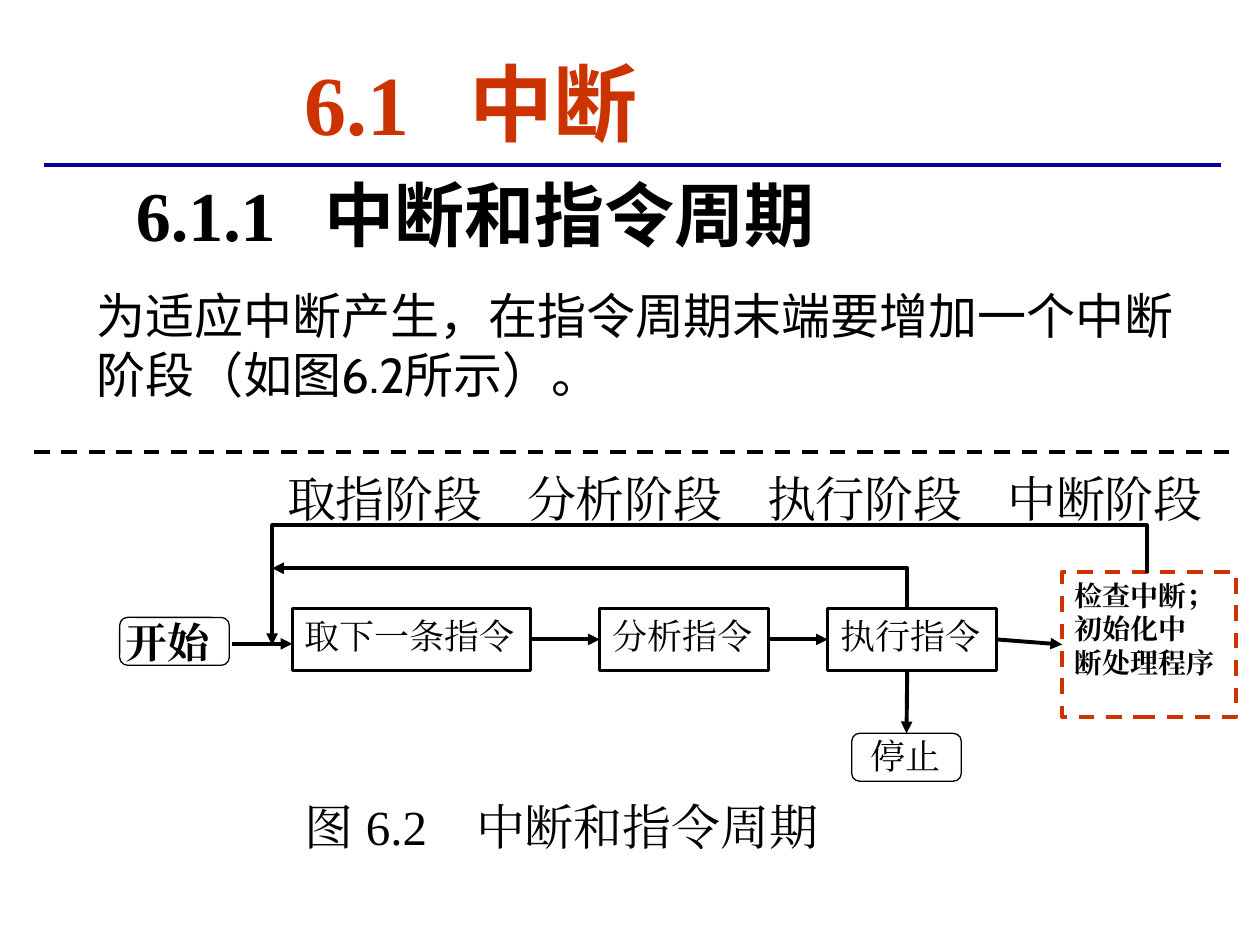
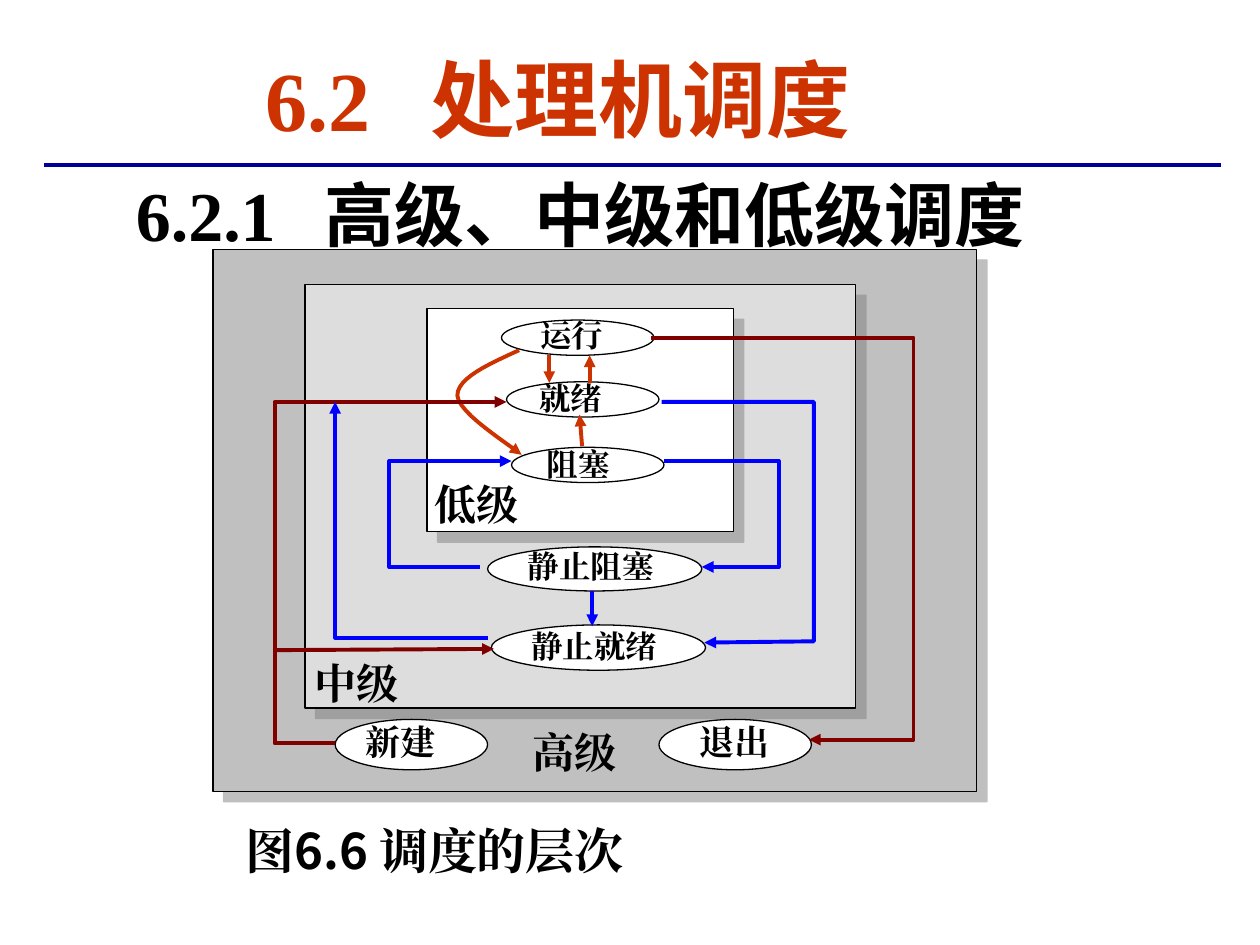
from pptx import Presentation
from pptx.dml.color import RGBColor
from pptx.enum.dml import MSO_LINE
from pptx.enum.shapes import MSO_CONNECTOR, MSO_SHAPE
from pptx.enum.text import MSO_ANCHOR, MSO_AUTO_SIZE, PP_ALIGN
from pptx.oxml.ns import qn
from pptx.util import Inches, Pt
from lxml import etree

RECT, ROUND, OVAL = MSO_SHAPE.RECTANGLE, MSO_SHAPE.ROUNDED_RECTANGLE, MSO_SHAPE.OVAL
STRAIGHT, DASH = MSO_CONNECTOR.STRAIGHT, MSO_LINE.DASH
LEFT, JUST = PP_ALIGN.LEFT, PP_ALIGN.JUSTIFY
TOP, FIXED = MSO_ANCHOR.TOP, MSO_AUTO_SIZE.NONE

BLACK, WHITE, RED, NAVY = "000000", "FFFFFF", "CC3300", "000099"
BLUE, MAROON, GREY, PALE = "0000FF", "800000", "C0C0C0", "DDDDDD"
TIMES, SANS, CABIN = "Times New Roman", "Noto Sans CJK SC", "Cabin"


def rgb(code):
    return RGBColor.from_string(code)


def place(box):
    return [Inches(v) for v in box]


def sub(parent, tag, **attrs):
    node = etree.SubElement(parent, qn(tag))
    for key, val in attrs.items():
        node.set(key, str(val))
    return node


# ---- text ----
def face(font, name):
    """Set one typeface for Latin and East Asian text."""
    font.name = name
    sub(font._element, "a:ea", typeface=name)


def write(frame, lines, size, color=BLACK, bold=False, name=TIMES,
          align=JUST, tabs=()):
    """Each line is a string or a list of (text, typeface) runs."""
    frame.word_wrap = True
    frame.auto_size = FIXED
    frame.vertical_anchor = TOP
    for i, line in enumerate(lines):
        para = frame.add_paragraph() if i else frame.paragraphs[0]
        para.alignment = align
        if tabs:
            stops = sub(para._p.get_or_add_pPr(), "a:tabLst")
            for stop in tabs:
                sub(stops, "a:tab", pos=Inches(stop), algn="l")
        para.font.size = Pt(size)
        para.font.bold = bold
        para.font.color.rgb = rgb(color)
        if isinstance(line, str):
            para.add_run().text = line
            face(para.font, name)
        else:
            for text, kind in line:
                run = para.add_run()
                run.text = text
                face(run.font, kind)


def label(slide, box, text, size, **style):
    frame = slide.shapes.add_textbox(*place(box)).text_frame
    write(frame, [text], size, **style)


# ---- shapes and lines ----
def shape(slide, kind, box, fill=WHITE, line=BLACK, width=0.75):
    item = slide.shapes.add_shape(kind, *place(box))
    item.shadow.inherit = False
    item.fill.solid()
    item.fill.fore_color.rgb = rgb(fill)
    item.line.color.rgb = rgb(line)
    item.line.width = Pt(width)
    return item


def step(slide, box, lines, size=20, **style):
    item = shape(slide, RECT, box, width=1.5)
    write(item.text_frame, lines, size, **style)
    return item


def layer(slide, box, fill):
    item = shape(slide, RECT, box, fill)
    effects = item._element.spPr.find(qn("a:effectLst"))
    cast = sub(effects, "a:outerShdw", dist=Pt(8.5), dir=45 * 60000,
               algn="ctr", rotWithShape=0)
    sub(sub(cast, "a:srgbClr", val="808080"), "a:alpha", val=50000)


def stroke(item, color, width, arrow):
    item.line.color.rgb = rgb(color)
    item.line.width = Pt(width)
    if arrow:
        sub(item.line._get_or_add_ln(), "a:tailEnd", type="triangle")


def link(slide, start, end, color=BLACK, width=2.25, arrow=True, dash=False):
    item = slide.shapes.add_connector(STRAIGHT, *place(start + end))
    if dash:
        item.line.dash_style = DASH
    stroke(item, color, width, arrow)
    sub(item._element.spPr, "a:effectLst")
    return item


def route(slide, points, color=BLACK):
    spots = [place(p) for p in points]
    maker = slide.shapes.build_freeform(*spots[0], scale=1.0)
    maker.add_line_segments(spots[1:], close=False)
    item = maker.convert_to_shape()
    item.shadow.inherit = False
    item.fill.background()
    stroke(item, color, 2.25, True)


def curve(a, b, c, d, count=12):
    """Points along a cubic Bezier curve, without its first point."""
    for i in range(1, count + 1):
        t = i / count
        u = 1 - t
        yield tuple(u**3 * p + 3 * u * u * t * q + 3 * u * t * t * r + t**3 * s
                    for p, q, r, s in zip(a, b, c, d))


def page(deck, num, title, box, part, head, kind, area):
    """Start a slide with its title, rule and section heading."""
    slide = deck.slides.add_slide(deck.slide_layouts[5])
    top = slide.shapes.title
    top.left, top.top, top.width, top.height = place(box)
    write(top.text_frame, [[(num + "\t", TIMES), (title, SANS)]], 48,
          color=RED, bold=True, align=LEFT, tabs=[1.31])
    link(slide, (0.35, 1.31), (9.69, 1.31), NAVY, 2.5, arrow=False)
    label(slide, area, [(part + "\t", TIMES), (head, kind)], 40,
          bold=True, align=LEFT, tabs=[1.5])
    return slide


def cycle(deck):
    slide = page(deck, "6.1", "中断", (2.32, 0.36, 4.02, 0.9),
                 "6.1.1", "中断和指令周期", SANS, (0.98, 1.31, 7.01, 0.77))
    label(slide, (0.67, 2.22, 8.9, 1.04),
          "为适应中断产生，在指令周期末端要增加一个中断阶段（如图6.2所示）。",
          28, name=CABIN, align=LEFT)
    link(slide, (0.27, 3.59), (9.8, 3.59), arrow=False, dash=True)

    # Stage names
    names = ["取指阶段", "分析阶段", "执行阶段", "中断阶段"]
    label(slide, (2.18, 3.67, 7.63, 0.47), "\t".join(names), 28, align=LEFT,
          tabs=[1.905 * i for i in range(1, 4)])

    # Steps of the cycle
    steps = [step(slide, (x, 4.83, w, 0.49), [text]) for x, w, text in (
        (2.32, 1.89, "取下一条指令"),
        (4.76, 1.34, "分析指令"),
        (6.57, 1.34, "执行指令"))]
    check = step(slide, (8.43, 4.54, 1.38, 1.15),
                 ["检查中断；", "初始化中", "断处理程序"], 16, bold=True)
    check.line.color.rgb = rgb(RED)
    check.line.width = Pt(2.25)
    check.line.dash_style = DASH
    steps.append(check)

    # Start and stop
    shape(slide, ROUND, (0.95, 4.9, 0.87, 0.38))
    label(slide, (0.9, 4.84, 0.92, 0.49), "开始", 24, bold=True)
    stop = shape(slide, ROUND, (6.76, 5.82, 0.87, 0.38))
    label(slide, (6.81, 5.78, 1.02, 0.49), "停止", 20)

    # Arrows
    link(slide, (1.84, 5.11), (2.32, 5.11))
    for left, right in zip(steps, steps[1:]):
        line = link(slide, (4, 5), (5, 5))
        line.begin_connect(left, 3)
        line.end_connect(right, 1)
    link(slide, (7.2, 5.32), (7.2, 5.82)).end_connect(stop, 0)
    route(slide, [(7.2, 4.83), (7.2, 4.51), (2.16, 4.51)])
    route(slide, [(9.1, 4.55), (9.1, 4.17), (2.16, 4.17), (2.16, 5.12)])

    label(slide, (2.32, 6.27, 5.12, 0.5), "图 6.2\t中断和指令周期", 28,
          align=LEFT, tabs=[1.36])


def levels(deck):
    slide = page(deck, "6.2", "处理机调度", (2.01, 0.33, 5.59, 0.9),
                 "6.2.1", "高级、中级和低级调度", CABIN,
                 (0.98, 1.31, 7.48, 1.17))

    # Nested levels
    for box, fill, text, spot in (
            ((1.69, 1.98, 6.06, 4.3), GREY, "高级", (4.13, 5.72)),
            ((2.42, 2.26, 4.37, 3.36), PALE, "中级", (2.4, 5.17)),
            ((3.39, 2.45, 2.43, 1.77), WHITE, "低级", (3.35, 3.75))):
        layer(slide, box, fill)
        label(slide, spot + (0.97, 0.47), text, 24, bold=True)

    # States, each with the corner of its label
    for box, text, size, spot in (
            ((3.98, 2.54, 1.21, 0.28), "运行", 18, (4.19, 2.46)),
            ((4.02, 3.03, 1.21, 0.28), "就绪", 18, (4.18, 2.96)),
            ((4.06, 3.55, 1.21, 0.28), "阻塞", 18, (4.24, 3.48)),
            ((3.87, 4.34, 1.7, 0.35), "静止阻塞", 18, (4.09, 4.29)),
            ((3.9, 4.96, 1.7, 0.36), "静止就绪", 18, (4.12, 4.93)),
            ((2.66, 5.71, 1.21, 0.4), "新建", 20, (2.8, 5.67)),
            ((5.23, 5.71, 1.21, 0.4), "退出", 20, (5.45, 5.67))):
        shape(slide, OVAL, box)
        label(slide, spot + (box[2], 0.4), text, size, bold=True)

    # Straight moves
    for start, end, color in (
            ((4.36, 2.82), (4.36, 3.04), RED),
            ((4.68, 3.04), (4.68, 2.82), RED),
            ((4.62, 3.54), (4.6, 3.29), RED),
            ((4.7, 4.69), (4.7, 4.97), BLUE),
            ((2.18, 5.16), (3.92, 5.15), MAROON)):
        link(slide, start, end, color)

    # Bent and curved moves
    bend = [(4.12, 2.78),
            *curve((4.12, 2.78), (3.88, 2.89), (3.63, 3), (3.63, 3.14)),
            *curve((3.63, 3.14), (3.64, 3.28), (4.03, 3.52), (4.14, 3.61))]
    route(slide, bend, RED)
    for color, *points in (
            (BLUE, (3.81, 4.5), (3.09, 4.5), (3.09, 3.66), (4.06, 3.66)),
            (BLUE, (5.27, 3.66), (6.18, 3.66), (6.18, 4.5), (5.57, 4.5)),
            (MAROON, (2.66, 5.9), (2.18, 5.9), (2.18, 3.19), (4.02, 3.19)),
            (MAROON, (5.17, 2.68), (7.25, 2.68), (7.25, 5.87), (6.42, 5.87)),
            (BLUE, (5.25, 3.19), (6.46, 3.19), (6.46, 5.09), (5.59, 5.1)),
            (BLUE, (3.87, 5.06), (2.66, 5.06), (2.66, 3.19))):
        route(slide, points, color)

    label(slide, (1.85, 6.46, 3.59, 0.52),
          [("图", TIMES), ("6.6 ", SANS), ("调度的层次", TIMES)], 28, bold=True)


def main():
    deck = Presentation()
    deck.slide_width, deck.slide_height = Inches(10), Inches(7.5)
    cycle(deck)
    levels(deck)
    deck.save("out.pptx")


if __name__ == "__main__":
    main()
